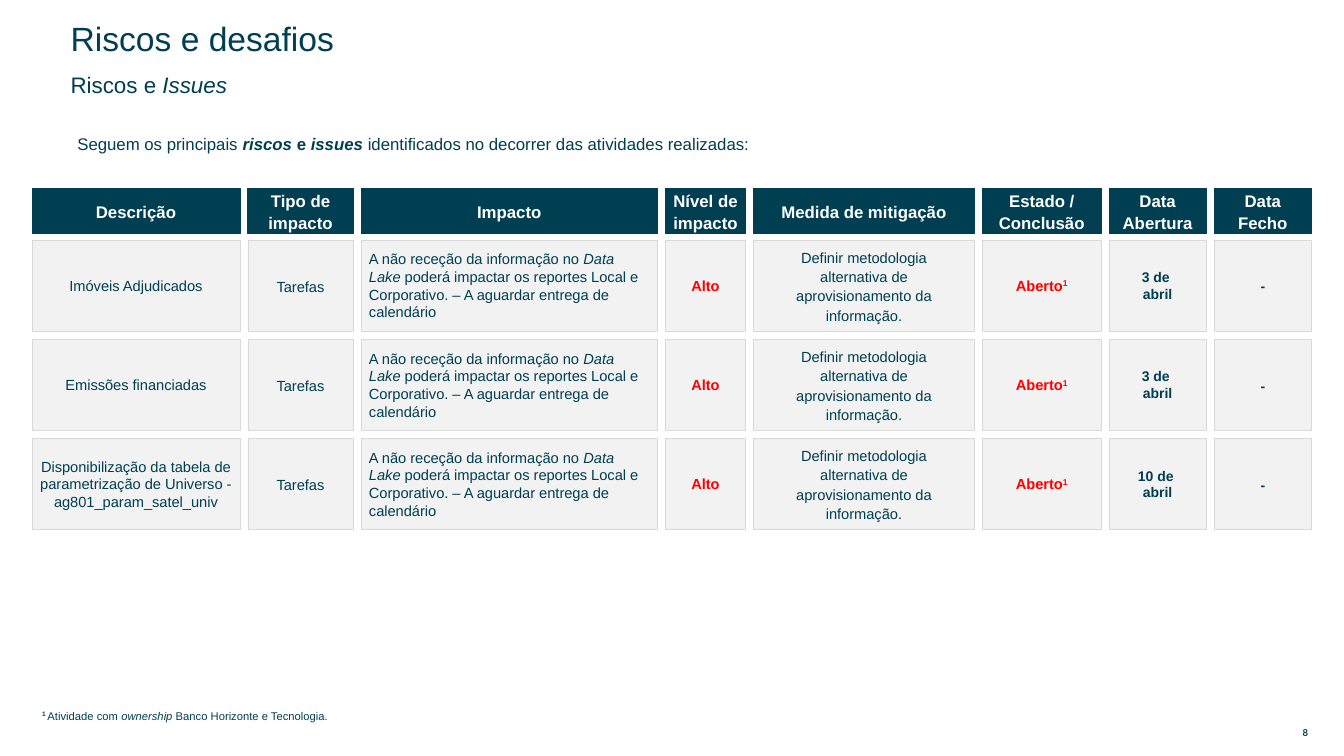
"""Build the slide of project risks and issues."""
from dataclasses import dataclass

from pptx import Presentation
from pptx.dml.color import RGBColor
from pptx.enum.shapes import MSO_SHAPE
from pptx.enum.text import MSO_ANCHOR, MSO_AUTO_SIZE, PP_ALIGN
from pptx.util import Cm, Pt


@dataclass(frozen=True)
class Theme:
    font: str = "Arial"
    num_font: str = "Lato"
    ink: str = "003E51"
    white: str = "FFFFFF"
    panel: str = "F2F2F2"
    edge: str = "D9D9D9"
    alert: str = "FF0000"
    title: float = 24
    sub: float = 16
    head: float = 12
    body: float = 10.5
    level: float = 10.4
    date: float = 10
    note: float = 8
    num: float = 6.8


@dataclass(frozen=True)
class Column:
    name: str
    width: float
    size: float
    pad: float = 0.1
    color: str = Theme.ink
    bold: bool = False
    align: PP_ALIGN = PP_ALIGN.CENTER
    line: float = 1.0


class Page:
    def __init__(self, deck, theme):
        self.theme = theme
        self.slide = deck.slides.add_slide(deck.slide_layouts[5])

    def fill_text(self, shape, paras, size, color=Theme.ink, bold=False, font=Theme.font,
                  align=PP_ALIGN.LEFT, line=1.0, anchor=MSO_ANCHOR.MIDDLE, pad=(0.25, 0.13)):
        frame = shape.text_frame
        frame.word_wrap = True
        frame.auto_size = MSO_AUTO_SIZE.NONE
        frame.vertical_anchor = anchor
        frame.margin_left = frame.margin_right = Cm(pad[0])
        frame.margin_top = frame.margin_bottom = Cm(pad[1])
        for n, runs in enumerate(paras):
            para = frame.add_paragraph() if n else frame.paragraphs[0]
            para.alignment = align
            para.line_spacing = line
            para.space_before = Pt(0)
            para.font.name = font
            para.font.size = Pt(size)
            para.font.bold = bold
            para.font.color.rgb = RGBColor.from_string(color)
            for text, style in runs:
                run = para.add_run()
                run.text = text
                if "b" in style:
                    run.font.bold = True
                if "i" in style:
                    run.font.italic = True
                if "^" in style:
                    run._r.get_or_add_rPr().set("baseline", "30000")

    def title(self, text, box):
        shape = self.slide.shapes.title
        shape.left, shape.top, shape.width, shape.height = map(Cm, box)
        self.fill_text(shape, [[(text, "")]], self.theme.title, line=0.9)

    def text(self, runs, box, size, **look):
        shape = self.slide.shapes.add_textbox(*map(Cm, box))
        self.fill_text(shape, [runs], size, **look)

    def cell(self, paras, box, fill, edge, weight, size, **look):
        shape = self.slide.shapes.add_shape(MSO_SHAPE.RECTANGLE, *map(Cm, box))
        shape.shadow.inherit = False
        shape.fill.solid()
        shape.fill.fore_color.rgb = RGBColor.from_string(fill)
        shape.line.color.rgb = RGBColor.from_string(edge)
        shape.line.width = Pt(weight)
        self.fill_text(shape, paras, size, **look)

    def grid(self, cols, rows, left, top):
        theme, gap = self.theme, 0.2
        head, high, first, pitch = 1.14, 2.29, 1.3, 2.5
        for n, col in enumerate(cols):
            self.cell([[(col.name, "")]], (left, top, col.width, head),
                      theme.ink, theme.ink, 0.75, theme.head, color=theme.white,
                      bold=True, align=PP_ALIGN.CENTER, line=1.1, pad=(0.1, 0.1))
            for r, row in enumerate(rows):
                self.cell(row[n], (left, top + first + r * pitch, col.width, high),
                          theme.panel, theme.edge, 0.5, col.size, color=col.color,
                          bold=col.bold, align=col.align, line=col.line,
                          pad=(col.pad, 0.1))
            left += col.width + gap


def plain(*lines):
    return [[(line, "")] for line in lines]


def risk(name, day):
    impact = [[("A não receção da informação no ", ""), ("Data Lake", "i"),
               (" poderá impactar os reportes Local e Corporativo. – "
                "A aguardar entrega de calendário", "")]]
    fix = "Definir metodologia alternativa de aprovisionamento da informação."
    return [plain(name), plain("Tarefas"), impact, plain("Alto"), plain(fix),
            [[("Aberto", ""), ("1", "^")]], plain(day, "abril"), plain("-")]


def main():
    theme = Theme()
    cols = [
        Column("Descrição", 5.24, theme.body),
        Column("Tipo de impacto", 2.65, theme.body, line=1.1),
        Column("Impacto", 7.47, theme.body, 0.2, align=PP_ALIGN.LEFT),
        Column("Nível de impacto", 2.02, theme.level, 0, theme.alert, True),
        Column("Medida de mitigação", 5.57, theme.body, 0.3, line=1.1),
        Column("Estado / Conclusão", 2.99, theme.body, 0.3, theme.alert, True),
        Column("Data Abertura", 2.45, theme.date, 0.3, bold=True),
        Column("Data Fecho", 2.45, theme.date, 0.3, bold=True, line=1.1),
    ]
    rows = [
        risk("Imóveis Adjudicados", "3 de "),
        risk("Emissões financiadas", "3 de "),
        risk("Disponibilização da tabela de parametrização de Universo - "
             "ag801_param_satel_univ", "10 de "),
    ]
    deck = Presentation()
    deck.slide_width, deck.slide_height = Cm(33.87), Cm(19.05)
    page = Page(deck, theme)
    page.title("Riscos e desafios", (1.53, 0.69, 20.2, 0.66))
    page.text([("Riscos e ", ""), ("Issues", "i")], (1.53, 1.85, 19.45, 0.66),
              theme.sub, line=0.9)
    page.text([("Seguem os principais ", ""), ("riscos ", "bi"), ("e ", "b"),
               ("issues ", "bi"),
               ("identificados no decorrer das atividades realizadas:", "")],
              (1.7, 3.23, 30.86, 1.12), theme.head, anchor=MSO_ANCHOR.TOP)
    page.grid(cols, rows, 0.81, 4.75)
    page.text([("1 ", "b^"), ("Atividade com ", ""), ("ownership", "i"),
               (" Banco Horizonte e Tecnologia.", "")],
              (0.81, 17.7, 29.87, 0.64), theme.note, line=1.1, anchor=MSO_ANCHOR.TOP)
    page.text([("8", "")], (32.33, 18.26, 1.14, 0.41), theme.num, bold=True,
              font=theme.num_font, align=PP_ALIGN.CENTER, pad=(0.15, 0.08))
    deck.save("out.pptx")


if __name__ == "__main__":
    main()
